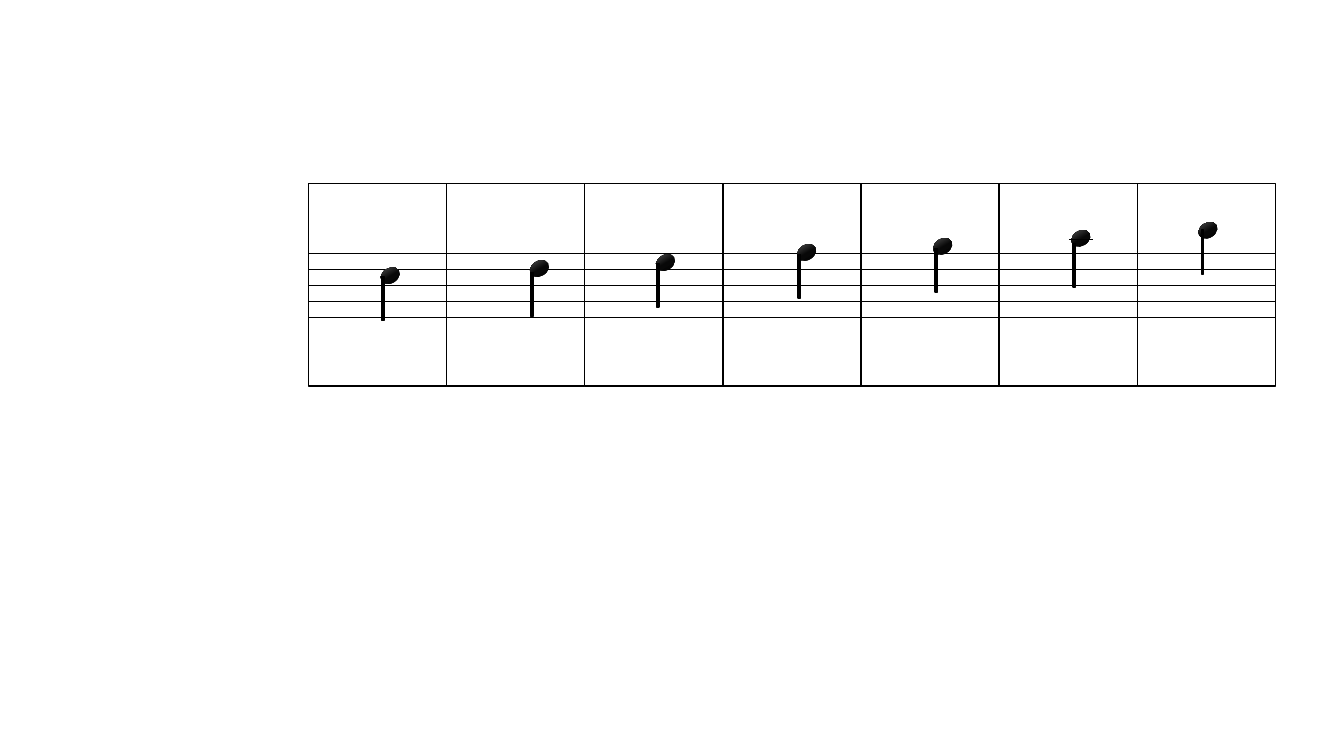
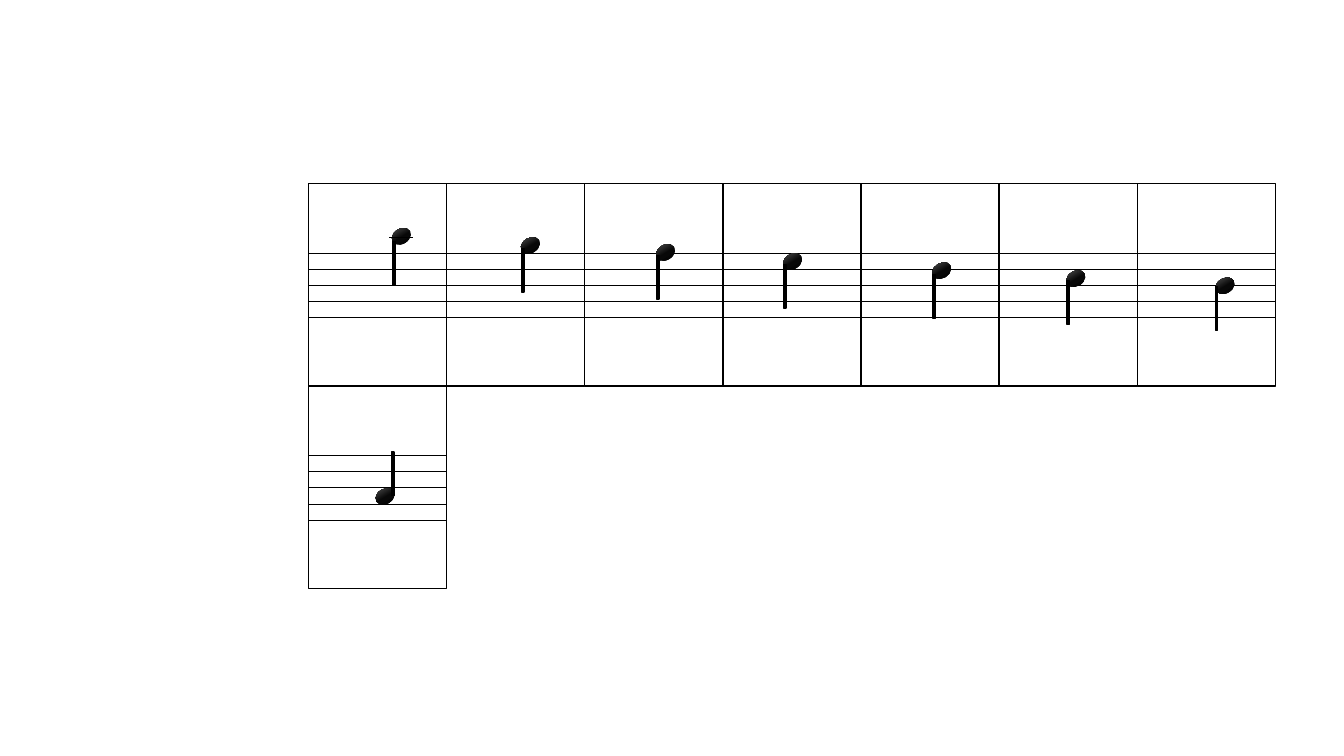
import pptx
import pptx.dml.color
import pptx.enum.shapes
import pptx.oxml
import pptx.oxml.ns
import pptx.util

RGBColor = pptx.dml.color.RGBColor
Shape = pptx.enum.shapes.MSO_SHAPE

PX = 9144  # one hundredth of an inch
BLACK = RGBColor(0x00, 0x00, 0x00)
NEAR_BLACK = RGBColor(0x08, 0x08, 0x08)
GRAY = RGBColor(0x66, 0x66, 0x66)
WHITE = RGBColor(0xFF, 0xFF, 0xFF)

PAGE_WIDTH, PAGE_HEIGHT = 1333, 750
BAR_LEFT, BAR_TOP, BAR_WIDTH, BAR_HEIGHT = 306, 182, 137, 201
BARS_PER_ROW = 7
STAFF_OFFSET, STAFF_GAP, STAFF_LINES = 69, 16, 5
HEAD_WIDTH, HEAD_HEIGHT = 20, 15
STEM_LENGTH, STEM_THICKNESS = 59, 10
LEDGER_WIDTH = 24
OUTLINE, HAIRLINE = 1, 0.5

HEAD_FORMAT = {"rotation": 329.3}
STEM_FORMAT = {"rotation": 90}
HEAD_STOPS = ((0, BLACK), (48, NEAR_BLACK), (100, GRAY))

# Each note: head left, head top, stem offset from head (x, y), ledger line
RISING_NOTES = (
    (377, 266, -27, 25, False),
    (525, 259, -27, 28, False),
    (650, 253, -27, 25, False),
    (790, 243, -27, 26, False),
    (925, 237, -26, 26, False),
    (1062, 229, -26, 29, True),
    (1188, 221, -25, 24, False),
)
FALLING_NOTES = (
    (388, 227, -27, 29, True),
    (516, 236, -27, 27, False),
    (650, 243, -27, 27, False),
    (776, 252, -27, 27, False),
    (924, 261, -27, 28, False),
    (1057, 269, -27, 26, False),
    (1205, 276, -28, 25, False),
    (372, 485, -12, -20, False),
)


def add_figure(group, kind, left, top, width, height, formats=None):
    figure = group.shapes.add_shape(
        kind, *(length * PX for length in (left, top, width, height)))
    figure.shadow.inherit = False
    for name, value in (formats or {}).items():
        setattr(figure, name, value)
    return figure


def paint(figure, fill):
    """Fill a shape and give it the black outline."""
    figure.fill.solid()
    figure.fill.fore_color.rgb = fill
    figure.line.color.rgb = BLACK
    figure.line.width = pptx.util.Pt(OUTLINE)


def shade_upwards(figure, stops):
    """Give a shape a gradient from its bottom to its top."""
    figure.fill.gradient()
    figure.fill.gradient_angle = 90
    stop_list = figure.fill._fill._gradFill.find(pptx.oxml.ns.qn("a:gsLst"))
    for stop in list(stop_list):
        stop_list.remove(stop)
    for percent, color in stops:
        stop_list.append(pptx.oxml.parse_xml(
            f'<a:gs {pptx.oxml.ns.nsdecls("a")} pos="{percent * 1000}">'
            f'<a:srgbClr val="{color}"/></a:gs>'))


def add_level_line(group, left, top, width):
    line = group.shapes.add_connector(
        pptx.enum.shapes.MSO_CONNECTOR.STRAIGHT,
        left * PX, top * PX, (left + width) * PX, top * PX)
    line.line.color.rgb = BLACK
    line.line.width = pptx.util.Pt(HAIRLINE)
    line._element.spPr.append(pptx.oxml.parse_xml(
        f'<a:effectLst {pptx.oxml.ns.nsdecls("a")}/>'))


def add_bar(group, left, top):
    """Draw one framed bar with its five staff lines."""
    paint(add_figure(group, Shape.RECTANGLE, left, top, BAR_WIDTH, BAR_HEIGHT), WHITE)
    for index in range(STAFF_LINES):
        add_level_line(group, left, top + STAFF_OFFSET + index * STAFF_GAP, BAR_WIDTH)


def add_note(group, left, top, stem_x, stem_y, has_ledger):
    head = add_figure(group, Shape.OVAL, left, top, HEAD_WIDTH, HEAD_HEIGHT, HEAD_FORMAT)
    shade_upwards(head, HEAD_STOPS)
    head.line.fill.background()
    if has_ledger:
        add_level_line(group, left - 2, top + 8, LEDGER_WIDTH)
    stem = add_figure(group, Shape.MATH_MINUS, left + stem_x, top + stem_y,
                      STEM_LENGTH, STEM_THICKNESS, STEM_FORMAT)
    paint(stem, BLACK)


def add_score(deck, notes):
    """Add a slide with one bar for each note, wrapped into rows."""
    page = deck.slides.add_slide(deck.slide_layouts[6])
    for index, note in enumerate(notes):
        row, column = divmod(index, BARS_PER_ROW)
        group = page.shapes.add_group_shape()
        add_bar(group, BAR_LEFT + column * BAR_WIDTH, BAR_TOP + row * BAR_HEIGHT)
        add_note(group, *note)


def main():
    deck = pptx.Presentation()
    deck.slide_width = PAGE_WIDTH * PX
    deck.slide_height = PAGE_HEIGHT * PX
    for notes in (RISING_NOTES, FALLING_NOTES):
        add_score(deck, notes)
    deck.save("out.pptx")


if __name__ == "__main__":
    main()
